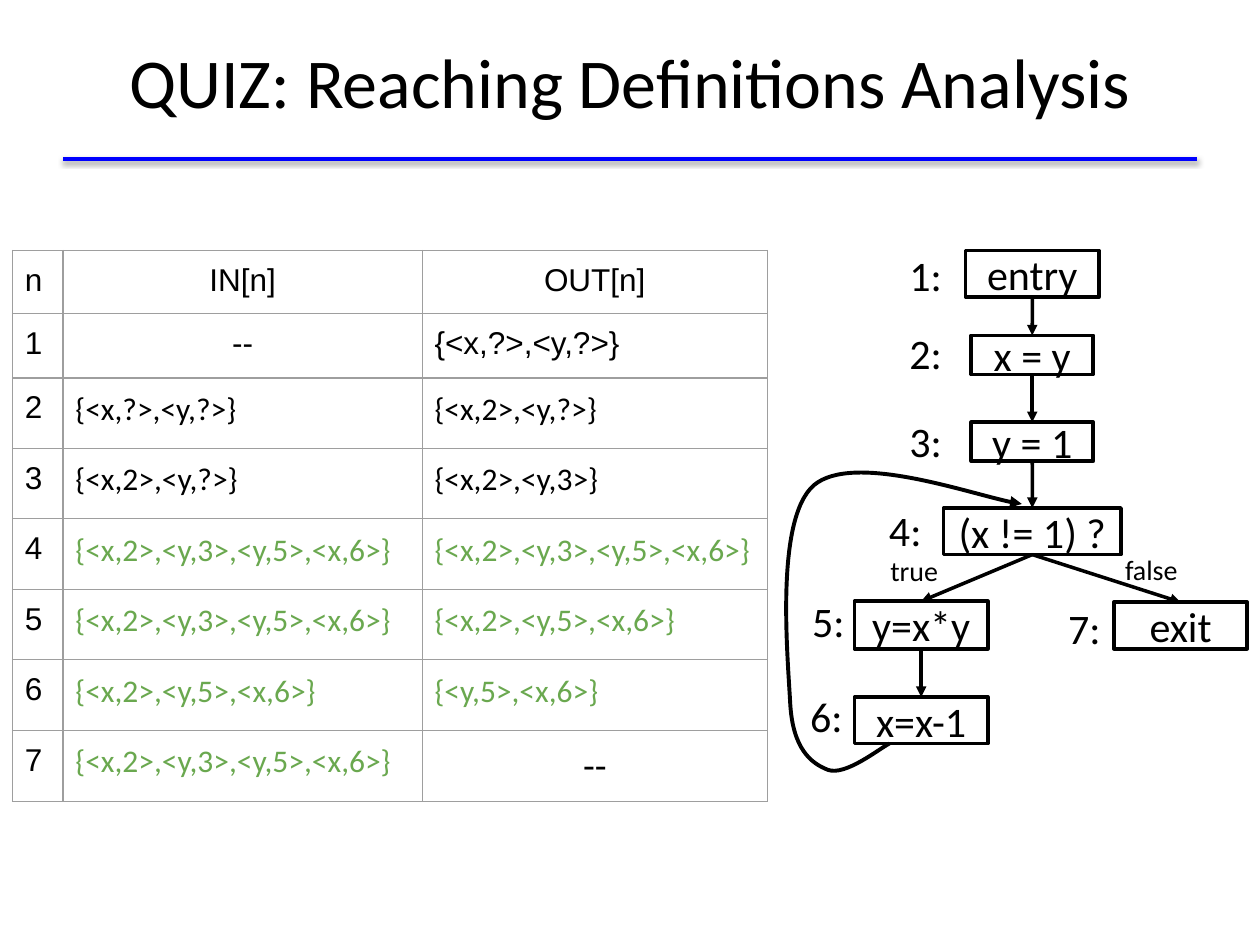
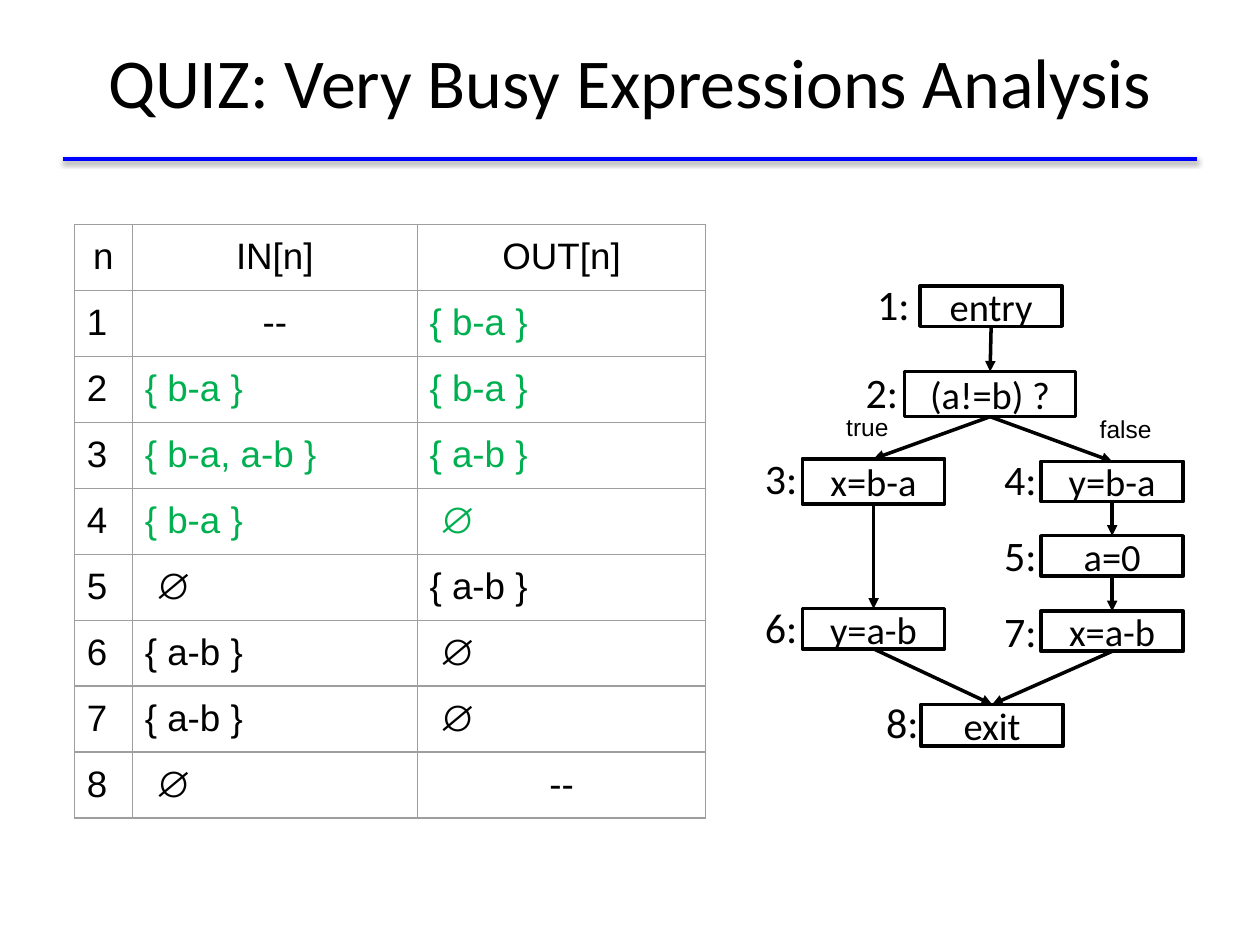
from lxml import etree
from pptx import Presentation
from pptx.dml.color import RGBColor
from pptx.enum.shapes import MSO_CONNECTOR, MSO_SHAPE
from pptx.enum.text import MSO_ANCHOR, MSO_AUTO_SIZE, PP_ALIGN
from pptx.oxml.ns import qn
from pptx.util import Cm, Pt

RECT, STRAIGHT = MSO_SHAPE.RECTANGLE, MSO_CONNECTOR.STRAIGHT
TOP, MID = MSO_ANCHOR.TOP, MSO_ANCHOR.MIDDLE
LEFT, CENTER = PP_ALIGN.LEFT, PP_ALIGN.CENTER
BOTTOM_SITE, TOP_SITE = 2, 0
PAD, THIN = 0.25, 0.13
LABEL_W, LABEL_H = 1.7, 0.97

COLORS = {"ink": "000000", "rule": "0000FF", "grid": "9E9E9E",
          "moss": "6AA84F", "green": "00B050"}

# ---- Content (lengths in cm) ----
HEAD = ["n", "IN[n]", "OUT[n]"]
ALL = "{<x,2>,<y,3>,<y,5>,<x,6>}"

REACH = {
    "title": "QUIZ: Reaching Definitions Analysis",
    "table": {
        "at": (0.25, 5.05), "cols": [1.02, 7.24, 6.96],
        "rows": [1.27, 1.3] + [1.42] * 6,
        "size": 18, "mid_n": False, "new": range(4, 8), "color": "moss",
        "calibri": range(2, 8), "last": 22,
        "sets": [
            ("--", "{<x,?>,<y,?>}"),
            ("{<x,?>,<y,?>}", "{<x,2>,<y,?>}"),
            ("{<x,2>,<y,?>}", "{<x,2>,<y,3>}"),
            (ALL, ALL),
            (ALL, "{<x,2>,<y,5>,<x,6>}"),
            ("{<x,2>,<y,5>,<x,6>}", "{<y,5>,<x,6>}"),
            (ALL, "--"),
        ],
    },
    # text, centre x, top, width, height, label centre
    "nodes": [
        ("entry", 20.81, 5.05, 2.69, 0.94, (18.66, 5.54)),
        ("x = y", 20.81, 6.76, 2.46, 0.79, (18.66, 7.11)),
        ("y = 1", 20.81, 8.51, 2.46, 0.79, (18.66, 8.89)),
        ("(x != 1) ?", 20.81, 10.24, 3.58, 0.94, (18.25, 10.67)),
        ("y=x*y", 18.57, 12.12, 2.69, 0.96, (16.7, 12.52)),
        ("x=x-1", 18.57, 14.05, 2.69, 0.94, (16.66, 14.43)),
        ("exit", 23.8, 12.14, 2.69, 0.94, (21.86, 12.65)),
    ],
    "node_size": 24,
    "edges": [(1, 2), (2, 3), (3, 4), (4, 5), (4, 7), (5, 6)],
    "tags": [("true", 17.7, 11.05), ("false", 22.43, 11.02)],
    "tag": {"size": 16, "name": "Calibri", "anchor": MID},
    # start point, then three points for each curve
    "loop": [(17.93, 14.99),
             (17.73, 15.09), (17.04, 15.65), (16.69, 15.52),
             (16.36, 15.39), (15.98, 15.11), (15.93, 14.17),
             (15.88, 13.21), (15.62, 10.46), (16.41, 9.78),
             (17.2, 9.12), (19.91, 10.08), (20.6, 10.16)],
}

BUSY = {
    "title": "QUIZ: Very Busy Expressions Analysis",
    "table": {
        "at": (1.5, 4.52), "cols": [1.17, 5.74, 5.82], "rows": [1.33] * 9,
        "size": 21, "mid_n": True, "new": range(1, 5), "color": "green",
        "calibri": (), "last": 21,
        "sets": [
            ("--", "{ b-a }"),
            ("{ b-a }", "{ b-a }"),
            ("{ b-a, a-b }", "{ a-b }"),
            ("{ b-a }", " ∅"),
            (" ∅", "{ a-b }"),
            ("{ a-b }", " ∅"),
            ("{ a-b }", " ∅"),
            (" ∅", "--"),
        ],
    },
    "nodes": [
        ("entry", 19.98, 5.77, 2.87, 0.81, (18.01, 6.13)),
        ("(a!=b) ?", 19.96, 7.49, 3.45, 0.91, (17.78, 7.89)),
        ("x=b-a", 17.61, 9.25, 2.87, 0.91, (15.75, 9.64)),
        ("y=b-a", 22.42, 9.3, 2.87, 0.81, (20.57, 9.66)),
        ("a=0", 22.42, 10.8, 2.87, 0.81, (20.57, 11.19)),
        ("y=a-b", 17.61, 12.27, 2.87, 0.81, (15.75, 12.64)),
        ("x=a-b", 22.42, 12.32, 2.87, 0.81, (20.57, 12.71)),
        ("exit", 20, 14.2, 2.87, 0.84, (18.19, 14.54)),
    ],
    "node_size": 22,
    "edges": [(1, 2), (2, 3), (2, 4), (3, 6), (4, 5), (5, 7), (6, 8), (7, 8)],
    "tags": [("true", 16.81, 8.05), ("false", 21.92, 8.1)],
    "tag": {"size": 14, "name": "Arial", "anchor": TOP},
    "loop": [],
}


# ---- Helpers ----
def rgb(key):
    return RGBColor.from_string(COLORS[key])


def box(*sides):
    return [Cm(side) for side in sides]


def set_all(part, fmt):
    for key, value in fmt.items():
        setattr(part, key, value)


def write(frame, text, size, name="Calibri", color="ink", align=CENTER,
          bold=False):
    para = frame.paragraphs[0]
    para.alignment = align
    run = para.add_run()
    run.text = text
    set_all(run.font, {"size": Pt(size), "name": name, "bold": bold})
    run.font.color.rgb = rgb(color)


def fit(frame, anchor=MID, side=PAD, edge=PAD):
    set_all(frame, {
        "word_wrap": True, "auto_size": MSO_AUTO_SIZE.NONE,
        "vertical_anchor": anchor,
        "margin_left": Cm(side), "margin_right": Cm(side),
        "margin_top": Cm(edge), "margin_bottom": Cm(edge)})


def ink(shape, color="ink", width=2, head=False):
    shape.line.color.rgb = rgb(color)
    shape.line.width = Pt(width)
    if head:
        line = shape.element.spPr.find(qn("a:ln"))
        etree.SubElement(line, qn("a:tailEnd"), type="triangle")


def add_text(slide, text, at, size, name="Calibri", anchor=MID, align=CENTER):
    frame = slide.shapes.add_textbox(*box(*at)).text_frame
    fit(frame, anchor)
    write(frame, text, size, name, align=align)


# ---- Shared title rule, placed on the layout ----
def add_rule(slide, layout):
    rule = slide.shapes.add_connector(STRAIGHT, *box(1.27, 3.2, 24.13, 3.2))
    ink(rule, "rule")
    effects = etree.SubElement(rule.element.spPr, qn("a:effectLst"))
    shade = etree.SubElement(effects, qn("a:outerShdw"), blurRad="39370",
                             dist="20320", dir="5400000", rotWithShape="0")
    tone = etree.SubElement(shade, qn("a:srgbClr"), val=COLORS["ink"])
    etree.SubElement(tone, qn("a:alpha"), val="38000")
    layout.shapes.element.append(rule.element)


def add_title(slide, text):
    title = slide.shapes.title
    set_all(title, dict(zip(("left", "top", "width", "height"),
                            box(1.27, 0.03, 22.86, 3.18))))
    fit(title.text_frame)
    write(title.text_frame, text, 40)


# ---- Table ----
def rim(cell):
    props = cell._tc.get_or_add_tcPr()
    for side in "LRTB":
        line = etree.SubElement(props, qn("a:ln" + side), w=str(Pt(0.75)))
        fill = etree.SubElement(line, qn("a:solidFill"))
        etree.SubElement(fill, qn("a:srgbClr"), val=COLORS["grid"])


def add_grid(slide, grid):
    rows = [HEAD] + [[str(n), *pair]
                     for n, pair in enumerate(grid["sets"], 1)]
    size = box(*grid["at"], sum(grid["cols"]), sum(grid["rows"]))
    table = slide.shapes.add_table(len(rows), len(HEAD), *size).table
    set_all(table, {"first_row": False, "horz_banding": False})
    for col, width in zip(table.columns, grid["cols"]):
        col.width = Cm(width)
    for row, height in zip(table.rows, grid["rows"]):
        row.height = Cm(height)
    pads = {"margin_" + side: Cm(PAD)
            for side in ("left", "right", "top", "bottom")}
    for r, row in enumerate(rows):
        for c, text in enumerate(row):
            cell = table.cell(r, c)
            set_all(cell, {**pads, "vertical_anchor": TOP})
            rim(cell)
            cell.fill.background()
            dash = text == "--"
            mid = dash or r == 0 and (c > 0 or grid["mid_n"])
            fresh = c > 0 and r in grid["new"] and not dash
            last = dash and r == len(rows) - 1
            write(cell.text_frame, text,
                  grid["last"] if last else grid["size"],
                  "Calibri" if c and r in grid["calibri"] else "Arial",
                  grid["color"] if fresh else "ink",
                  CENTER if mid else LEFT, "∅" in text)


# ---- Flow graph ----
def add_node(slide, node, size):
    text, mid, top, width, height, _ = node
    shape = slide.shapes.add_shape(
        RECT, *box(mid - width / 2, top, width, height))
    shape.shadow.inherit = False
    shape.fill.background()
    ink(shape)
    fit(shape.text_frame, side=PAD, edge=THIN)
    write(shape.text_frame, text, size)
    return shape


def add_edge(slide, start, end):
    edge = slide.shapes.add_connector(STRAIGHT, 0, 0, 0, 0)
    edge.begin_connect(start, BOTTOM_SITE)
    edge.end_connect(end, TOP_SITE)
    ink(edge, head=True)
    etree.SubElement(edge.element.spPr, qn("a:effectLst"))


def add_loop(slide, points):
    first, *rest = [box(*point) for point in points]
    pen = slide.shapes.build_freeform(*first)
    pen.add_line_segments(rest, close=False)
    loop = pen.convert_to_shape()
    loop.shadow.inherit = False
    loop.fill.background()
    ink(loop, width=2.25, head=True)
    # Turn each three line segments into one curve
    track = next(loop.element.iter(qn("a:path")))
    steps = track.findall(qn("a:lnTo"))
    for i in range(0, len(steps), 3):
        curve = etree.SubElement(track, qn("a:cubicBezTo"))
        for step in steps[i:i + 3]:
            curve.append(step[0])
            track.remove(step)


def add_graph(slide, quiz):
    nodes = [add_node(slide, node, quiz["node_size"])
             for node in quiz["nodes"]]
    for start, end in quiz["edges"]:
        add_edge(slide, nodes[start - 1], nodes[end - 1])
    for n, node in enumerate(quiz["nodes"], 1):
        x, y = node[-1]
        add_text(slide, f"{n}:", (x - LABEL_W / 2, y - LABEL_H / 2,
                                  LABEL_W, LABEL_H), 24)
    for text, x, y in quiz["tags"]:
        add_text(slide, text, (x, y, LABEL_W, 0.91), align=LEFT, **quiz["tag"])
    if quiz["loop"]:
        add_loop(slide, quiz["loop"])


def main():
    deck = Presentation()
    deck.slide_width, deck.slide_height = box(25.4, 19.05)
    layout = deck.slide_layouts[5]
    for i, quiz in enumerate((REACH, BUSY)):
        slide = deck.slides.add_slide(layout)
        if i == 0:
            add_rule(slide, layout)
        add_title(slide, quiz["title"])
        add_grid(slide, quiz["table"])
        add_graph(slide, quiz)
    deck.save("out.pptx")


if __name__ == "__main__":
    main()
